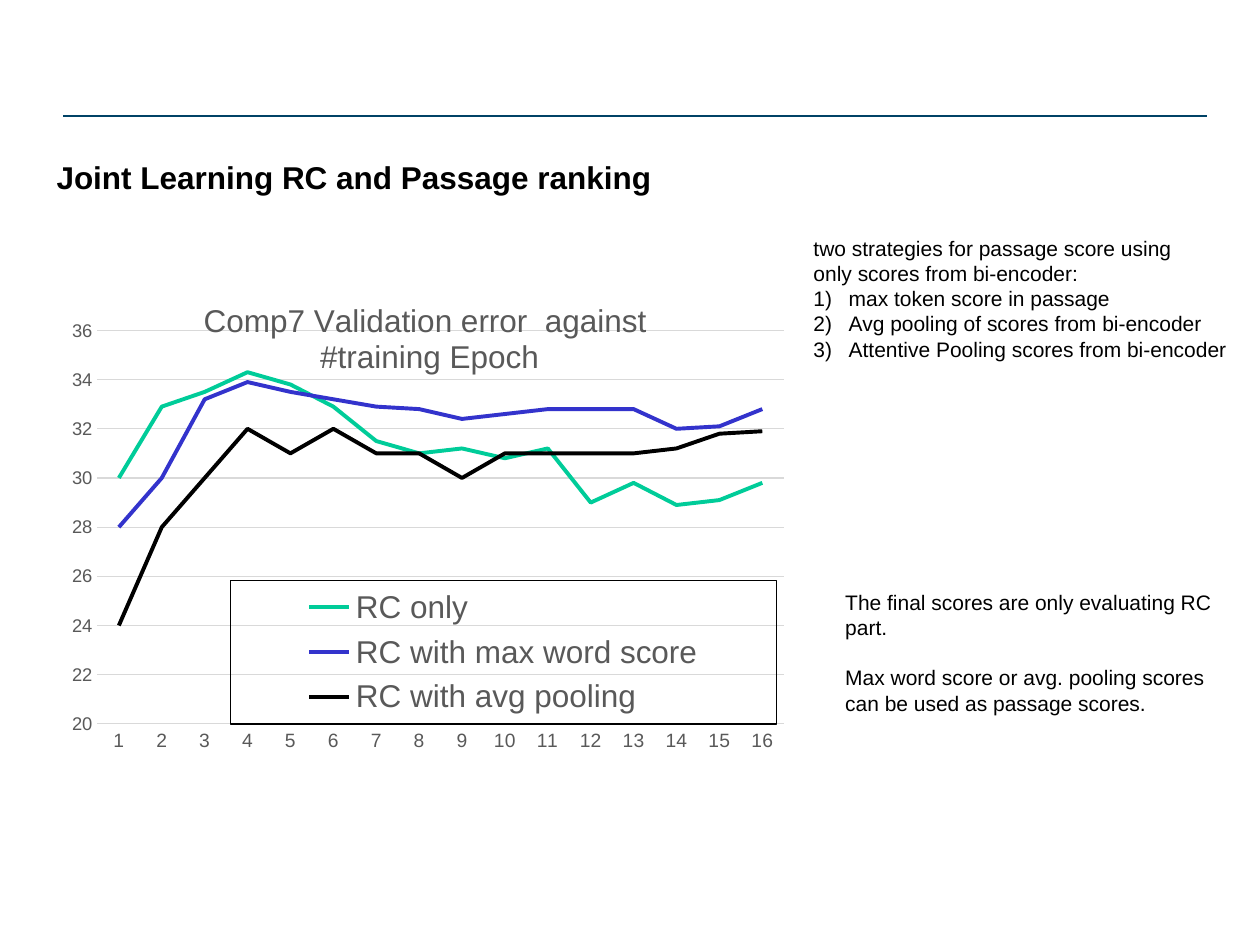
from lxml.etree import SubElement
from pptx import Presentation
from pptx.chart.data import CategoryChartData
from pptx.dml.color import RGBColor
from pptx.enum.chart import XL_CHART_TYPE, XL_LEGEND_POSITION, XL_TICK_MARK
from pptx.enum.shapes import MSO_CONNECTOR
from pptx.oxml import parse_xml
from pptx.oxml.ns import nsdecls, qn
from pptx.util import Cm, Pt

FONT = "Arial"
GREY = "595959"
GRID = "D9D9D9"
SERIES = [
    ("RC only", "00CC99",
     [30, 32.9, 33.5, 34.3, 33.8, 32.9, 31.5, 31, 31.2, 30.8, 31.2, 29, 29.8, 28.9, 29.1, 29.8]),
    ("RC with max word score", "3333CC",
     [28, 30, 33.2, 33.9, 33.5, 33.2, 32.9, 32.8, 32.4, 32.6, 32.8, 32.8, 32.8, 32, 32.1, 32.8]),
    ("RC with avg pooling", "000000",
     [24, 28, 30, 32, 31, 32, 31, 31, 30, 31, 31, 31, 31, 31.2, 31.8, 31.9]),
]


def color(value):
    """Return the colour for a hex string."""
    return RGBColor.from_string(value)


def style_font(font, size, value, bold=False):
    """Set the typeface, size, colour and weight of a font."""
    font.name = FONT
    font.size = Pt(size)
    font.bold = bold
    font.color.rgb = color(value)


def style_line(line, value, width):
    """Set the colour and width of a line."""
    line.color.rgb = color(value)
    line.width = Pt(width)


def number_paragraph(paragraph):
    """Turn a paragraph into a hanging numbered item."""
    properties = paragraph._p.get_or_add_pPr()
    properties.set("marL", str(Cm(0.71)))
    properties.set("indent", str(-Cm(0.71)))
    SubElement(properties, qn("a:buFont"), typeface="+mj-lt")
    SubElement(properties, qn("a:buAutoNum"), type="arabicParenR")


def add_text(slide, lines, left, top, width, height, size=12, bold=False, numbered=(), gap_before=()):
    """Add a text box with one paragraph per line."""
    frame = slide.shapes.add_textbox(Cm(left), Cm(top), Cm(width), Cm(height)).text_frame
    frame.word_wrap = False
    for index, line in enumerate(lines):
        paragraph = frame.paragraphs[0] if index == 0 else frame.add_paragraph()
        if index in gap_before:
            paragraph.space_before = Pt(14.3)
        if index in numbered:
            number_paragraph(paragraph)
        run = paragraph.add_run()
        run.text = line
        style_font(run.font, size, "000000", bold)


def add_rule(slide, left, right, top):
    """Add the thin horizontal rule."""
    rule = slide.shapes.add_connector(MSO_CONNECTOR.STRAIGHT, Cm(left), Cm(top), Cm(right), Cm(top))
    style_line(rule.line, "004266", 0.75)
    SubElement(rule._element.spPr, qn("a:effectLst"))


def set_layout(element, position, x, y, width, height, target=""):
    """Place a chart part by fractions of the chart area."""
    for old in element.findall(qn("c:layout")):
        element.remove(old)
    inner = f'<c:layoutTarget val="{target}"/>' if target else ""
    element.insert(position, parse_xml(
        f'<c:layout {nsdecls("c")}><c:manualLayout>{inner}'
        '<c:xMode val="edge"/><c:yMode val="edge"/>'
        f'<c:x val="{x}"/><c:y val="{y}"/><c:w val="{width}"/><c:h val="{height}"/>'
        '</c:manualLayout></c:layout>'))


def style_axes(chart):
    """Format the epoch axis and the error axis."""
    for axis, size in ((chart.category_axis, 11), (chart.value_axis, 10.5)):
        axis.major_tick_mark = axis.minor_tick_mark = XL_TICK_MARK.NONE
        style_font(axis.tick_labels.font, size, GREY)
    style_line(chart.category_axis.format.line, GRID, 0.75)
    error_axis = chart.value_axis
    error_axis.minimum_scale, error_axis.maximum_scale, error_axis.major_unit = 20, 36, 2
    error_axis.format.line.fill.background()
    style_line(error_axis.major_gridlines.format.line, GRID, 0.75)


def style_legend(chart):
    """Add a framed legend over the lower part of the plot."""
    chart.has_legend = True
    legend = chart.legend
    legend.position = XL_LEGEND_POSITION.BOTTOM
    legend.include_in_layout = True
    style_font(legend.font, 18, GREY)
    element = legend._element
    set_layout(element, 1, 0.23, 0.57, 0.74, 0.27)
    element.find(qn("c:txPr")).addprevious(parse_xml(
        f'<c:spPr {nsdecls("c", "a")}><a:noFill/><a:ln w="9525"><a:solidFill>'
        '<a:srgbClr val="000000"/></a:solidFill></a:ln></c:spPr>'))


def add_error_chart(slide, left, top, width, height):
    """Add the line chart of validation error by epoch."""
    data = CategoryChartData()
    data.categories = [str(epoch) for epoch in range(1, 17)]
    for name, _, values in SERIES:
        data.add_series(name, values)
    chart = slide.shapes.add_chart(
        XL_CHART_TYPE.LINE, Cm(left), Cm(top), Cm(width), Cm(height), data).chart
    style_font(chart.font, 10, "000000")
    chart.has_title = True
    title = chart.chart_title
    title.include_in_layout = True
    title.text_frame.text = "Comp7 Validation error  against  #training Epoch"
    style_font(title.text_frame.paragraphs[0].runs[0].font, 18, GREY)
    chart.plots[0].vary_by_categories = False
    for series, (_, value, _) in zip(chart.plots[0].series, SERIES):
        series.smooth = False
        style_line(series.format.line, value, 2.25)
    style_axes(chart)
    style_legend(chart)
    plot_area = chart._chartSpace.xpath("c:chart/c:plotArea")[0]
    set_layout(plot_area, 0, 0.05, 0.1, 0.93, 0.74, "inner")


def main():
    """Build and save the slide."""
    presentation = Presentation()
    presentation.slide_width, presentation.slide_height = Cm(25.4), Cm(19.05)
    slide = presentation.slides.add_slide(presentation.slide_layouts[6])
    add_rule(slide, 1.27, 24.33, 2.34)
    add_error_chart(slide, 1.22, 5.59, 14.88, 10.72)
    add_text(slide, [
        "The final scores are only evaluating RC",
        "part.",
        "Max word score or avg. pooling scores",
        "can be used as passage scores.",
    ], 16.79, 11.76, 7.95, 2.82, gap_before=(2,))
    add_text(slide, ["Joint Learning RC and Passage ranking"],
             0.89, 3.07, 12.62, 1.02, size=18, bold=True)
    add_text(slide, [
        "two strategies for passage score using",
        "only scores from bi-encoder:",
        "max token score in passage",
        "Avg pooling of scores from bi-encoder",
        "Attentive Pooling scores from bi-encoder",
    ], 16.15, 4.62, 9.14, 2.82, numbered=(2, 3, 4))
    presentation.save("out.pptx")


if __name__ == "__main__":
    main()
